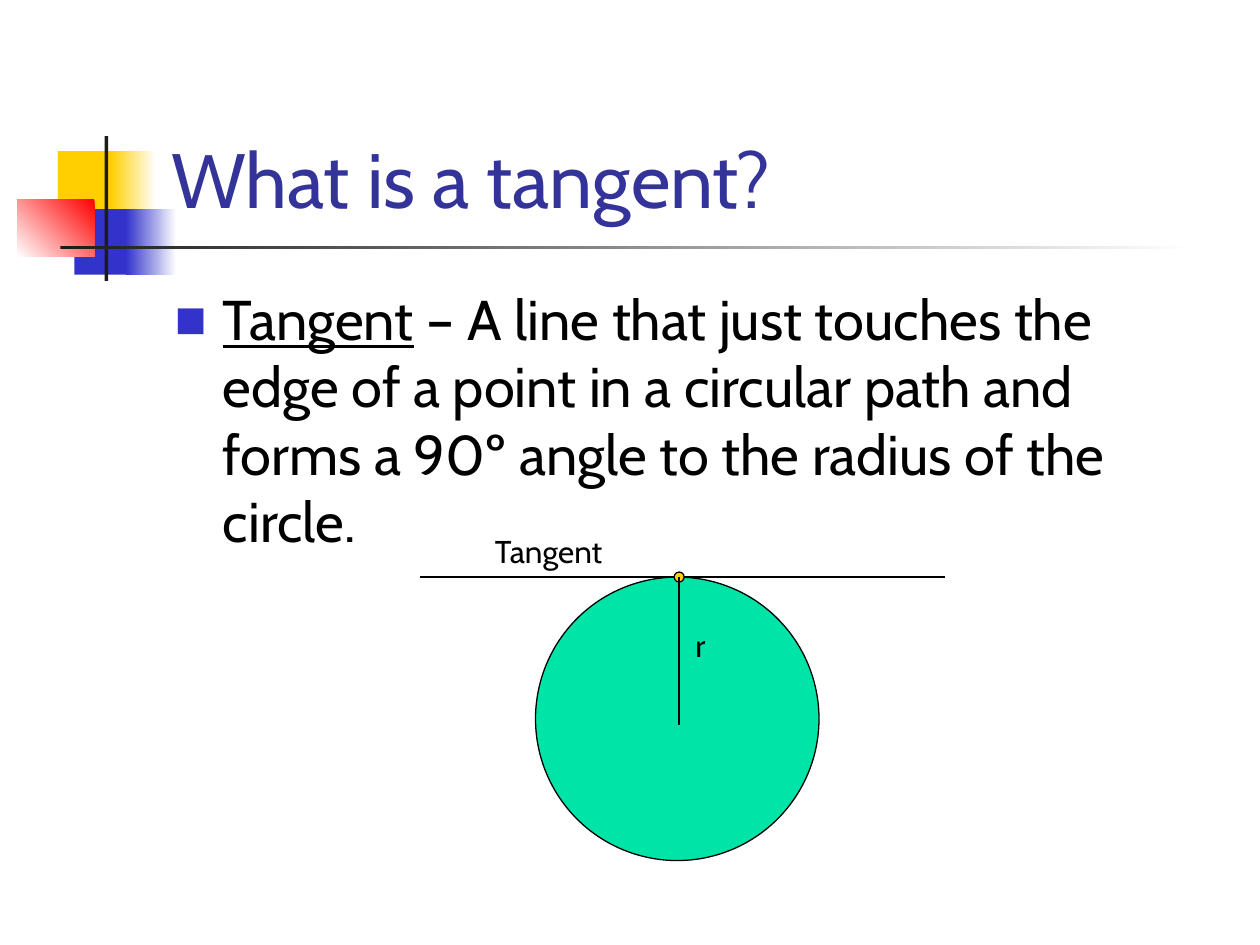
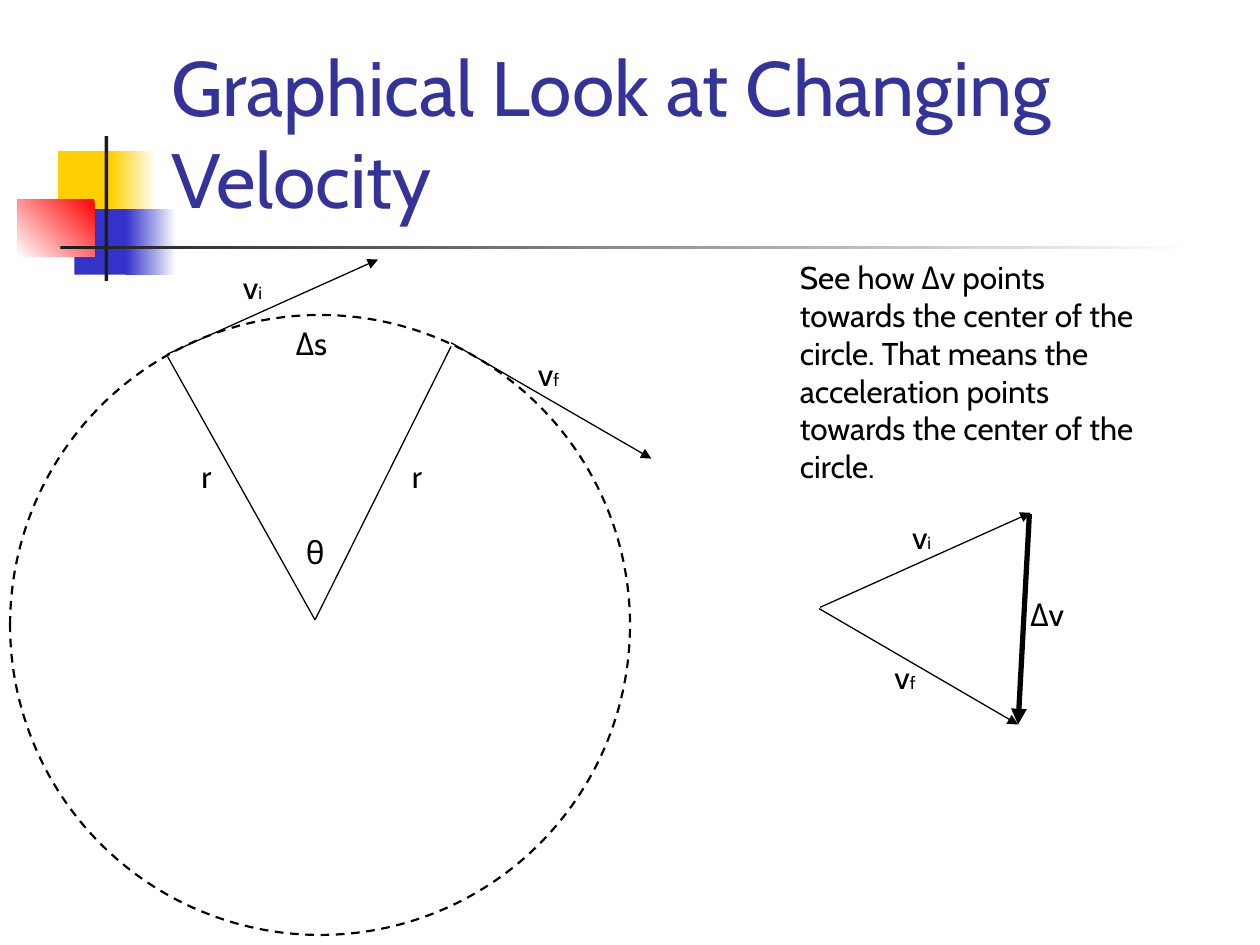
from lxml import etree
from pptx import Presentation
from pptx.dml.color import RGBColor
from pptx.enum.dml import MSO_LINE_DASH_STYLE as Dash
from pptx.enum.shapes import MSO_CONNECTOR as Connector, MSO_SHAPE as Shape
from pptx.enum.text import MSO_ANCHOR as Anchor, MSO_AUTO_SIZE as AutoSize
from pptx.oxml.ns import qn
from pptx.util import Inches, Pt

FONT = "Cabin"
BLACK, WHITE, CHARCOAL = "000000", "FFFFFF", "1C1C1C"
YELLOW, BLUE, RED = "FFCF01", "3333CC", "FF0000"
TITLE_BLUE, GREEN = "333399", "00E4A8"


def color(value):
    return RGBColor.from_string(value)


class SlideBuilder:
    """Holds the deck's style and the slide being drawn."""

    def __init__(self, deck):
        self.deck = deck
        self.page = None

    def new_page(self, title):
        self.page = self.deck.slides.add_slide(self.deck.slide_layouts[6])
        self.decoration()
        self.text(1.26, 0.23, 8.52, 1.6, [(title, 44)], TITLE_BLUE, Anchor.BOTTOM)

    def shape(self, kind, left, top, width, height, fill=None, line=None, dash=None):
        item = self.page.shapes.add_shape(
            kind, Inches(left), Inches(top), Inches(width), Inches(height))
        item.shadow.inherit = False
        if fill:
            item.fill.solid()
            item.fill.fore_color.rgb = color(fill)
        else:
            item.fill.background()
        if line:
            item.line.color.rgb = color(BLACK)
            item.line.width = Pt(line)
            if dash:
                item.line.dash_style = dash
        else:
            item.line.fill.background()
        return item

    def fade(self, left, top, width, height, start, end=WHITE, angle=0):
        item = self.shape(Shape.RECTANGLE, left, top, width, height)
        item.fill.gradient()
        item.fill.gradient_angle = angle
        for stop, shade in zip(item.fill.gradient_stops, (start, end)):
            stop.color.rgb = color(shade)

    def decoration(self):
        # Coloured squares, each with its fading half, and the crossed rules
        block = Shape.RECTANGLE
        self.shape(block, 0.46, 1.2, 0.48, 0.52, YELLOW)
        self.fade(0.88, 1.2, 0.36, 0.52, YELLOW)
        self.shape(block, 0.59, 1.66, 0.46, 0.52, BLUE)
        self.fade(1, 1.66, 0.4, 0.52, BLUE)
        self.fade(0.14, 1.58, 0.61, 0.46, RED, angle=225)
        self.shape(block, 0.83, 1.08, 0.03, 1.15, CHARCOAL)
        self.fade(0.48, 1.95, 9, 0.03, CHARCOAL)

    def line(self, start, end, width=0.75, arrow=False):
        item = self.page.shapes.add_connector(
            Connector.STRAIGHT, *map(Inches, start), *map(Inches, end))
        item.line.color.rgb = color(BLACK)
        item.line.width = Pt(width)
        if arrow:
            etree.SubElement(item.line._get_or_add_ln(), qn("a:tailEnd"), type="triangle")
        etree.SubElement(item._element.spPr, qn("a:effectLst"))

    def text(self, left, top, width, height, spans, shade=BLACK,
             anchor=Anchor.TOP, bullet=False, grow=False):
        """Each span is (words, size), with a true third item if underlined."""
        box = self.page.shapes.add_textbox(
            Inches(left), Inches(top), Inches(width), Inches(height))
        frame = box.text_frame
        frame.word_wrap = True
        frame.vertical_anchor = anchor
        frame.auto_size = AutoSize.SHAPE_TO_FIT_TEXT if grow else AutoSize.NONE
        para = frame.paragraphs[0]
        if bullet:
            self.bullet(para)
        for words, size, *underline in spans:
            span = para.add_run()
            span.text = words
            span.font.name = FONT
            span.font.size = Pt(size)
            span.font.color.rgb = color(shade)
            if underline:
                span.font.underline = underline[0]

    def bullet(self, para):
        props = para._p.get_or_add_pPr()
        props.set("marL", str(Inches(0.38)))
        props.set("indent", str(-Inches(0.38)))
        tint = etree.SubElement(props, qn("a:buClr"))
        etree.SubElement(tint, qn("a:srgbClr"), val=BLUE)
        etree.SubElement(props, qn("a:buSzPct"), val="60000")
        etree.SubElement(props, qn("a:buFont"), typeface=FONT)
        etree.SubElement(props, qn("a:buChar"), char="■")

    def label(self, left, top, words, subscript=None, width=1.17, height=0.4):
        spans = [(words, 18)]
        if subscript:
            spans.append((subscript, 10))
        self.text(left, top, width, height, spans, grow=True)


def tangent_page(build):
    build.new_page("What is a tangent?")
    build.text(1.29, 2.21, 8.5, 4.5, [
        ("Tangent", 32, True),
        (" – A line that just touches the edge of a point in a circular path "
         "and forms a 90º angle to the radius of the circle.", 32),
    ], bullet=True)

    # Circle with its tangent, touching point and radius
    touch_x, touch_y = 5.39, 4.58
    dot = 0.08
    build.shape(Shape.OVAL, 4.25, touch_y, 2.25, 2.25, GREEN, 0.75)
    build.line((3.33, touch_y), (7.5, touch_y))
    build.shape(Shape.OVAL, touch_x - dot / 2, touch_y - dot / 2, dot, dot, YELLOW, 0.75)
    build.line((touch_x, touch_y), (touch_x, 5.75))
    build.label(5.42, 4.92, "r", width=1.25)
    build.label(3.83, 4.17, "Tangent", width=1.25)


def velocity_page(build):
    build.new_page("Graphical Look at Changing Velocity")

    # Circular path with two radii and the velocity at each end of the arc
    build.shape(Shape.OVAL, 0.08, 2.5, 4.92, 4.92, line=1.25, dash=Dash.DASH)
    center = (2.5, 4.92)
    for rim in ((1.33, 2.83), (3.58, 2.75)):
        build.line(center, rim)
    build.line((1.33, 2.81), (3, 2.06), arrow=True)
    build.line((3.58, 2.72), (5.17, 3.64), arrow=True)

    # Velocity triangle
    build.line((6.5, 4.83), (8.08, 5.75), arrow=True)
    build.line((6.51, 4.82), (8.18, 4.07), arrow=True)
    build.line((8.17, 4.08), (8.08, 5.75), width=3, arrow=True)

    # Labels of both drawings
    for left, top, *words in (
        (1.83, 2.08, "v", "i"), (4.17, 2.77, "v", "f"),
        (2.33, 4.18, "θ"), (3.17, 3.58, "r"), (1.5, 3.58, "r"), (2.25, 2.52, "Δs"),
        (7, 5.17, "v", "f"), (7.14, 4.06, "v", "i"), (8.08, 4.67, "Δv"),
    ):
        build.label(left, top, *words)

    # Conclusion
    build.label(6.25, 2, "See how Δv points towards the center of the circle. "
                "That means the acceleration points towards the center of the circle.",
                width=3, height=1.9)


def main():
    deck = Presentation()
    deck.slide_width, deck.slide_height = Inches(10), Inches(7.5)
    build = SlideBuilder(deck)
    tangent_page(build)
    velocity_page(build)
    deck.save("out.pptx")


if __name__ == "__main__":
    main()
